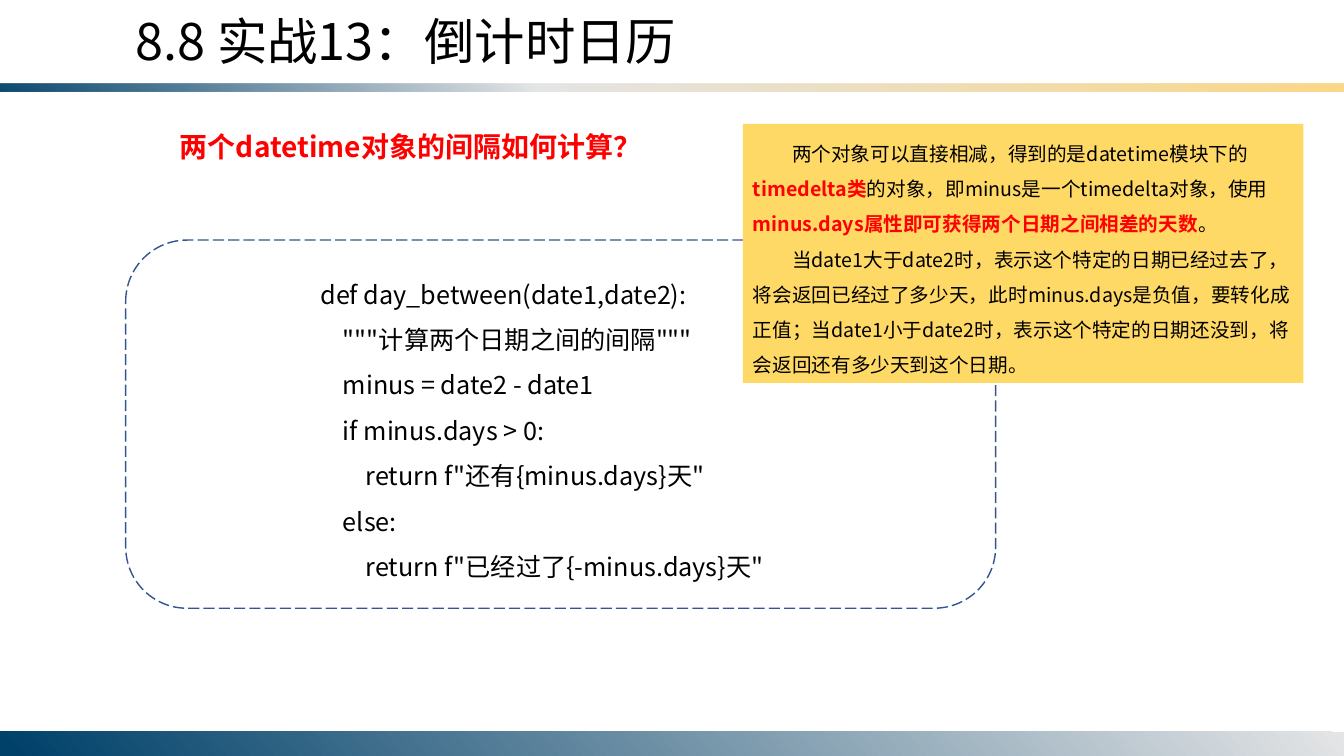
"""Build the countdown calendar slide about the interval between two dates."""
from lxml import etree
from pptx import Presentation
from pptx.dml.color import RGBColor
from pptx.enum.dml import MSO_LINE
from pptx.enum.shapes import MSO_SHAPE
from pptx.enum.text import MSO_ANCHOR, PP_ALIGN
from pptx.oxml.ns import qn
from pptx.util import Pt

TITLE = "8.8 实战13：倒计时日历"
QUESTION = "两个datetime对象的间隔如何计算？"
CODE = [
    "def day_between(date1,date2):",
    '    """计算两个日期之间的间隔"""',
    "    minus = date2 - date1",
    "    if minus.days > 0:",
    '        return f"还有{minus.days}天"',
    "    else:",
    '        return f"已经过了{-minus.days}天"',
]
EXPLANATION = [
    [
        "两个对象可以直接相减，得到的是datetime模块下的",
        ("timedelta类", "key"),
        "的对象，即minus是一个timedelta对象，使用",
        ("minus.days属性即可获得两个日期之间相差的天数", "key"),
        "。",
    ],
    "当date1大于date2时，表示这个特定的日期已经过去了，将会返回已经过了多少天，"
    "此时minus.days是负值，要转化成正值；当date1小于date2时，"
    "表示这个特定的日期还没到，将会返回还有多少天到这个日期。",
]

THEME = {
    "font": "Noto Sans CJK SC",
    "text": "000000", "key": "FF0000", "note": "FFD966", "frame": "325491",
    "title_size": 36, "question_size": 20, "code_size": 18, "note_size": 14,
    "top_bar": [(0, "00416A", 95), (40, "E4E5E6", 100), (100, "FBD786", 100)],
    "bottom_bar": [(0, "E4E5E6", 100), (99, "00416A", 100)],
}
WIDTH, HEIGHT = 960, 540
BOTTOM_BAR_HEIGHT = 17.4


def add_box(slide, preset, left, top, width, height):
    """Add a preset shape without shadow, fill or line."""
    shape = slide.shapes.add_shape(preset, Pt(left), Pt(top), Pt(width), Pt(height))
    shape.shadow.inherit = False
    shape.fill.background()
    shape.line.fill.background()
    return shape


def add_bar(slide, top, height, stops, angle):
    """Add a full-width bar with a linear gradient."""
    shape = add_box(slide, MSO_SHAPE.RECTANGLE, 0, top, WIDTH, height)
    properties = shape.fill._xPr
    gradient = etree.Element(qn("a:gradFill"), rotWithShape="1")
    stop_list = etree.SubElement(gradient, qn("a:gsLst"))
    for position, color, opacity in stops:
        stop = etree.SubElement(stop_list, qn("a:gs"), pos=str(position * 1000))
        value = etree.SubElement(stop, qn("a:srgbClr"), val=color)
        if opacity < 100:
            etree.SubElement(value, qn("a:alpha"), val=str(opacity * 1000))
    etree.SubElement(gradient, qn("a:lin"), ang=str(angle * 60000), scaled="0")
    properties.replace(properties.find(qn("a:noFill")), gradient)
    return shape


def write_text(shape, paragraphs, size, color="text", bold=False, spacing=1.0,
               indent=0, anchor=MSO_ANCHOR.TOP):
    """Fill a shape with paragraphs of plain or emphasised runs."""
    frame = shape.text_frame
    frame.word_wrap = True
    frame.vertical_anchor = anchor
    for index, parts in enumerate(paragraphs):
        paragraph = frame.add_paragraph() if index else frame.paragraphs[0]
        paragraph.alignment = PP_ALIGN.LEFT
        paragraph.line_spacing = spacing
        if indent:
            properties = paragraph._p.get_or_add_pPr()
            properties.set("marL", "0")
            properties.set("indent", str(Pt(indent)))
        for part in [parts] if isinstance(parts, str) else parts:
            emphasised = isinstance(part, tuple)
            text, run_color = part if emphasised else (part, color)
            run = paragraph.add_run()
            run.text = text
            run.font.size = Pt(THEME[size])
            run.font.bold = bold or emphasised
            run.font.name = THEME["font"]
            run.font.color.rgb = RGBColor.from_string(THEME[run_color])
            etree.SubElement(run.font._element, qn("a:ea"), typeface=THEME["font"])


def add_text(slide, left, top, width, height, paragraphs, **text_format):
    """Add a text box."""
    box = slide.shapes.add_textbox(Pt(left), Pt(top), Pt(width), Pt(height))
    write_text(box, paragraphs, **text_format)


def main():
    """Build and save the slide."""
    presentation = Presentation()
    presentation.slide_width, presentation.slide_height = Pt(WIDTH), Pt(HEIGHT)
    slide = presentation.slides.add_slide(presentation.slide_layouts[6])

    top_bar = add_bar(slide, 59.5, 6, THEME["top_bar"], 50)
    top_bar._element.spPr.find(qn("a:xfrm")).set("flipV", "1")
    add_bar(slide, HEIGHT - BOTTOM_BAR_HEIGHT, BOTTOM_BAR_HEIGHT,
            THEME["bottom_bar"], 140)

    add_text(slide, 90, 3.6, 440.6, 51, [TITLE], size="title_size")
    add_text(slide, 81.4, 77, 780.5, 43, [QUESTION], size="question_size",
             color="key", bold=True, spacing=1.5, indent=40)
    add_text(slide, 221.8, 185, 357, 236, CODE, size="code_size", spacing=1.5)

    code_frame = add_box(slide, MSO_SHAPE.ROUNDED_RECTANGLE, 89.8, 171.5, 621.4, 263)
    code_frame.line.color.rgb = RGBColor.from_string(THEME["frame"])
    code_frame.line.width = Pt(1)
    code_frame.line.dash_style = MSO_LINE.LONG_DASH

    note = add_box(slide, MSO_SHAPE.RECTANGLE, 530.7, 88.5, 400.3, 185)
    note.fill.solid()
    note.fill.fore_color.rgb = RGBColor.from_string(THEME["note"])
    write_text(note, EXPLANATION, size="note_size", spacing=1.5, indent=28,
               anchor=MSO_ANCHOR.MIDDLE)
    presentation.save("out.pptx")


if __name__ == "__main__":
    main()
